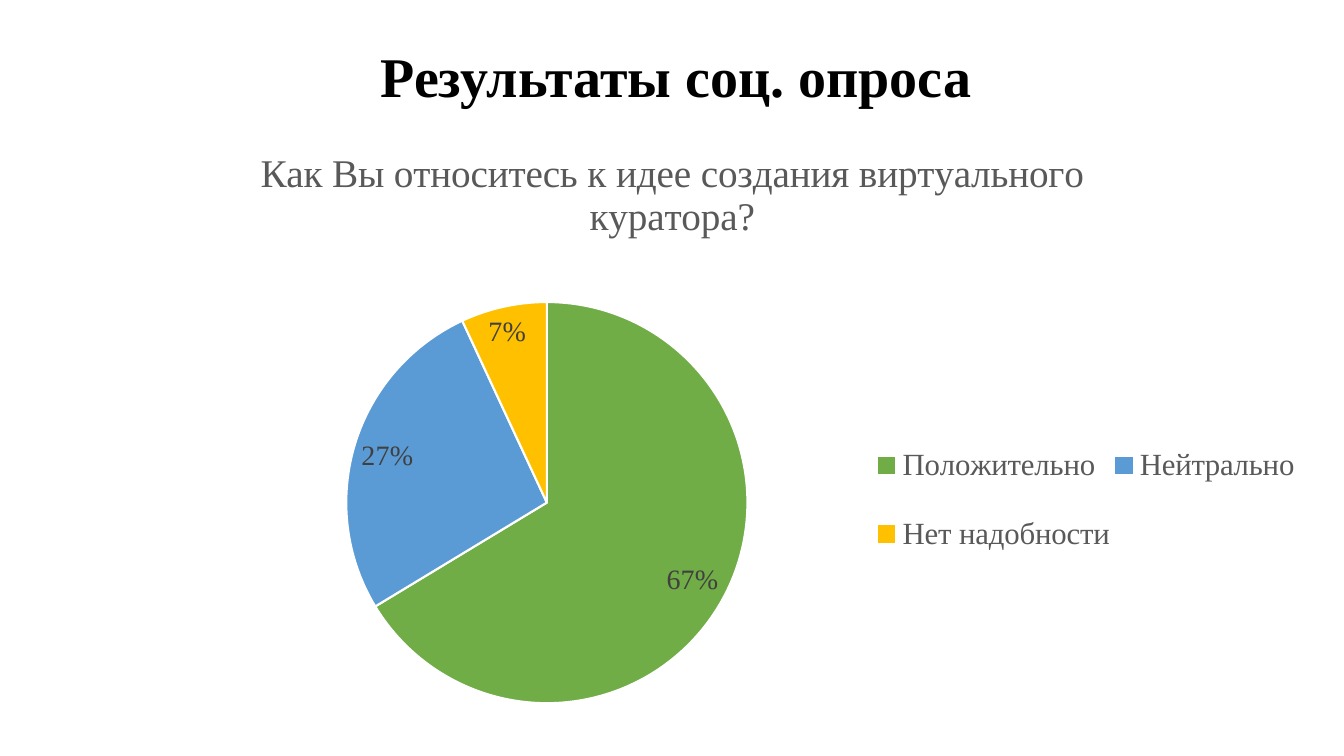
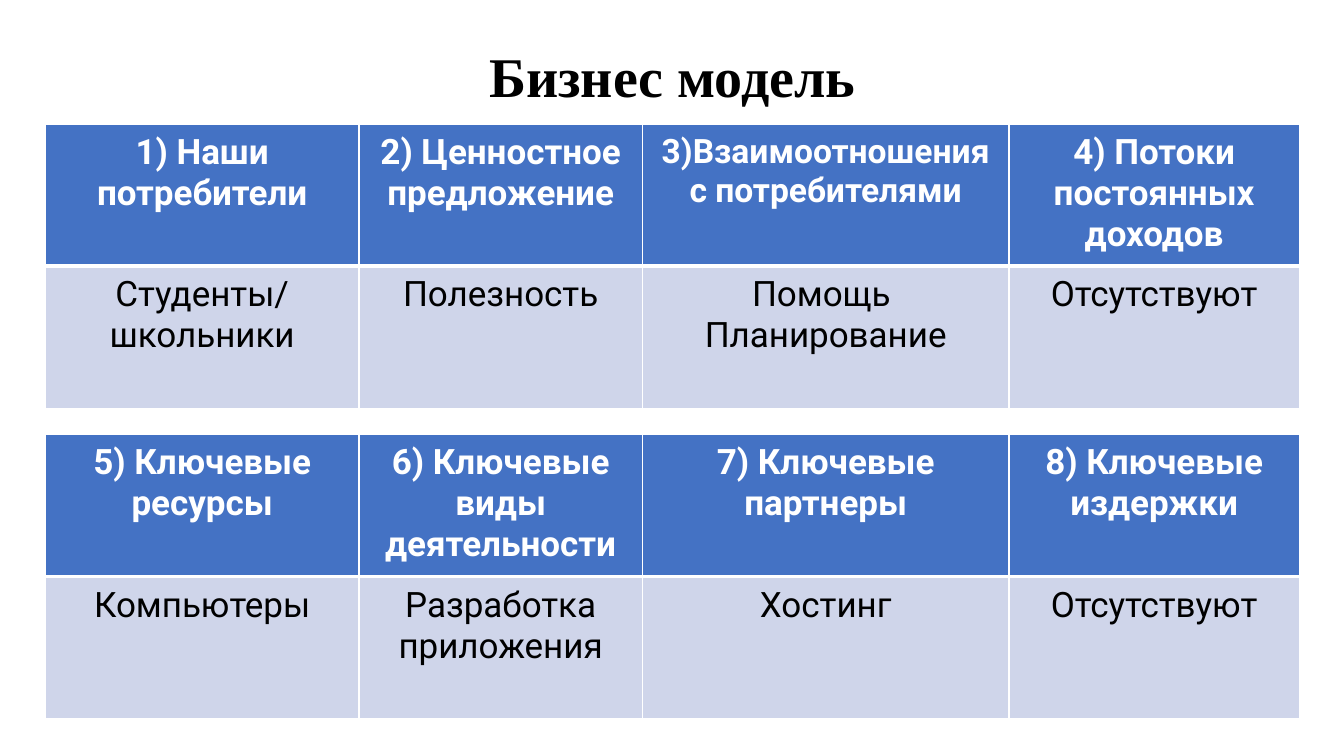
from dataclasses import dataclass
from lxml.etree import SubElement
from pptx import Presentation
from pptx.chart.chart import Chart
from pptx.chart.data import CategoryChartData
from pptx.dml.color import RGBColor
from pptx.enum.chart import XL_CHART_TYPE, XL_LABEL_POSITION, XL_LEGEND_POSITION
from pptx.enum.text import MSO_ANCHOR, MSO_AUTO_SIZE, PP_ALIGN
from pptx.oxml import parse_xml
from pptx.oxml.ns import nsdecls, qn
from pptx.slide import Slide
from pptx.table import _Cell as Cell
from pptx.util import Pt

BLACK = RGBColor(0x00, 0x00, 0x00)
WHITE = RGBColor(0xFF, 0xFF, 0xFF)
GRAY = RGBColor(0x59, 0x59, 0x59)
DARK = RGBColor(0x40, 0x40, 0x40)
GREEN = RGBColor(0x70, 0xAD, 0x47)
SKY = RGBColor(0x5B, 0x9B, 0xD5)
GOLD = RGBColor(0xFF, 0xC0, 0x00)
BLUE = RGBColor(0x44, 0x72, 0xC4)
PALE = RGBColor(0xCF, 0xD5, 0xEA)

SERIF = "Times New Roman"
SANS = "Roboto"
LEFT, TOP, WIDTH = 32.4, 88.6, 895.6
ROW = 101.5
COLS = (224, 202.4, 262, 207.2)


@dataclass(frozen=True)
class Slice:
    name: str
    value: int
    color: RGBColor


@dataclass(frozen=True)
class Block:
    head: str
    body: str
    size: float = 25


@dataclass(frozen=True)
class Look:
    fill: RGBColor
    ink: RGBColor
    bold: bool
    top: float
    bottom: float


HEAD = Look(BLUE, WHITE, True, 1, 3)
BODY = Look(PALE, BLACK, False, 3, 1)

SLICES = (
    Slice("Положительно", 67, GREEN),
    Slice("Нейтрально", 27, SKY),
    Slice("Нет надобности", 7, GOLD),
)

GRIDS = (
    (
        Block("1) Наши потребители", "Студенты/\nшкольники"),
        Block("2) Ценностное предложение", "Полезность"),
        Block("3)Взаимоотношения с потребителями", "Помощь \nПланирование", 24),
        Block("4) Потоки постоянных доходов", "Отсутствуют"),
    ),
    (
        Block("5) Ключевые ресурсы", "Компьютеры"),
        Block("6) Ключевые виды деятельности", "Разработка приложения"),
        Block("7) Ключевые партнеры", "Хостинг"),
        Block("8) Ключевые издержки", "Отсутствуют"),
    ),
)


def style(font, name: str, size: float, color: RGBColor, bold: bool = False) -> None:
    font.name = name
    font.size = Pt(size)
    font.bold = bold
    font.color.rgb = color


def add_slide(deck, text: str, left: float = LEFT, width: float = WIDTH) -> Slide:
    slide = deck.slides.add_slide(deck.slide_layouts[5])
    title = slide.shapes.title
    title.left, title.top = Pt(left), Pt(26)
    title.width, title.height = Pt(width), Pt(55.5)
    frame = title.text_frame
    frame.text = text
    frame.word_wrap = True
    frame.auto_size = MSO_AUTO_SIZE.SHAPE_TO_FIT_TEXT
    frame.vertical_anchor = MSO_ANCHOR.MIDDLE
    line = frame.paragraphs[0]
    line.alignment = PP_ALIGN.CENTER
    style(line.font, SERIF, 40, BLACK, True)
    return slide


def place(part, index: int, inner: bool, x: float, y: float, w: float, h: float) -> None:
    old = part.find(qn("c:layout"))
    if old is not None:
        part.remove(old)
    target = '<c:layoutTarget val="inner"/>' if inner else ""
    part.insert(index, parse_xml(
        f'<c:layout {nsdecls("c")}><c:manualLayout>{target}'
        '<c:xMode val="edge"/><c:yMode val="edge"/>'
        f'<c:x val="{x}"/><c:y val="{y}"/><c:w val="{w}"/><c:h val="{h}"/>'
        '</c:manualLayout></c:layout>'))


def add_pie(slide: Slide) -> Chart:
    data = CategoryChartData()
    data.categories = [item.name for item in SLICES]
    data.add_series("Series 1", [item.value for item in SLICES])
    chart = slide.shapes.add_chart(
        XL_CHART_TYPE.PIE, Pt(LEFT), Pt(TOP), Pt(WIDTH), Pt(422.6), data).chart
    style(chart.font, SERIF, 10, BLACK)

    chart.has_title = True
    frame = chart.chart_title.text_frame
    frame.text = "Как Вы относитесь к идее создания виртуального куратора?"
    style(frame.paragraphs[0].font, SERIF, 28, GRAY)
    chart.chart_title.include_in_layout = False

    chart.has_legend = True
    chart.legend.position = XL_LEGEND_POSITION.RIGHT
    chart.legend.include_in_layout = False
    style(chart.legend.font, SERIF, 22, GRAY)

    plot = chart.plots[0]
    plot.vary_by_categories = True
    for index, item in enumerate(SLICES):
        form = plot.series[0].points[index].format
        form.fill.solid()
        form.fill.fore_color.rgb = item.color
        form.line.color.rgb = WHITE
        form.line.width = Pt(1.5)

    labels = plot.series[0].data_labels
    labels.show_value = True
    labels.number_format = '0"%"'
    labels.number_format_is_linked = False
    labels.position = XL_LABEL_POSITION.BEST_FIT
    style(labels.font, SERIF, 20, DARK)

    root = chart.element.find(qn("c:chart"))
    place(root.find(qn("c:plotArea")), 0, True, 0.24, 0.3, 0.32, 0.68)
    place(root.find(qn("c:legend")), 1, False, 0.66, 0.49, 0.34, 0.29)
    return chart


def add_edge(cell: Cell, side: str, width: float) -> None:
    props = cell._tc.get_or_add_tcPr()
    line = SubElement(props, qn(f"a:ln{side}"), w=str(Pt(width)))
    fill = SubElement(line, qn("a:solidFill"))
    SubElement(fill, qn("a:srgbClr"), val=str(WHITE))


def fill_cell(cell: Cell, text: str, size: float, look: Look) -> None:
    cell.text = text
    cell.margin_left = cell.margin_right = Pt(11.5)
    cell.margin_top = cell.margin_bottom = Pt(5.75)
    edges = {"L": 1, "R": 1, "T": look.top, "B": look.bottom}
    for side, width in edges.items():
        add_edge(cell, side, width)
    cell.fill.solid()
    cell.fill.fore_color.rgb = look.fill
    for line in cell.text_frame.paragraphs:
        line.alignment = PP_ALIGN.CENTER
        style(line.font, SANS, size, look.ink, look.bold)


def add_grid(slide: Slide, top: float, blocks: tuple[Block, ...]) -> None:
    table = slide.shapes.add_table(
        2, len(blocks), Pt(LEFT), Pt(top), Pt(WIDTH), Pt(2 * ROW)).table
    for row in table.rows:
        row.height = Pt(ROW)
    for index, block in enumerate(blocks):
        table.columns[index].width = Pt(COLS[index])
        fill_cell(table.cell(0, index), block.head, block.size, HEAD)
        fill_cell(table.cell(1, index), block.body, 25, BODY)


def main() -> None:
    deck = Presentation()
    deck.slide_width, deck.slide_height = Pt(960), Pt(540)
    add_pie(add_slide(deck, "Результаты соц. опроса", 250.6, 464.4))
    model = add_slide(deck, "Бизнес модель")
    for index, blocks in enumerate(GRIDS):
        add_grid(model, TOP + index * 221.8, blocks)
    deck.save("out.pptx")


if __name__ == "__main__":
    main()
